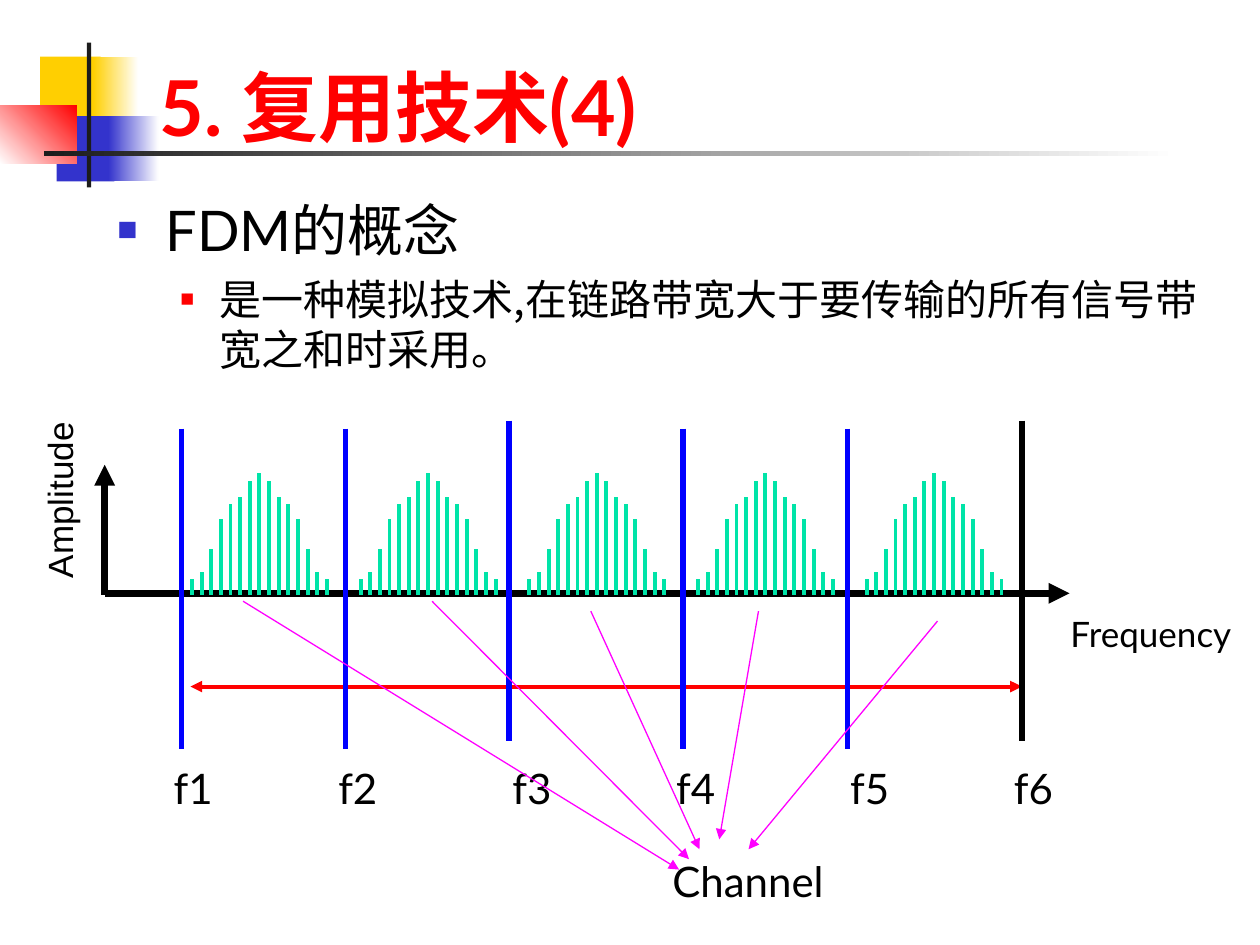
"""Build a slide on frequency-division multiplexing with its spectrum diagram."""
from lxml import etree
from pptx import Presentation
from pptx import util as u
from pptx.dml.color import RGBColor
from pptx.enum import lang, shapes, text
from pptx.oxml.ns import qn

TITLE = "5. 复用技术(4)"
BODY = [
    {"text": "FDM的概念", "level": 0, "size": 32, "font": "Lato", "left": 0.97, "hang": 0.97,
     "before": 0, "bullet": "3333CC", "percent": 60},
    {"text": "是一种模拟技术,在链路带宽大于要传输的所有信号带宽之和时采用。", "level": 1, "size": 24,
     "font": "Noto Sans CJK SC", "left": 2.06, "hang": 0.79, "before": 6, "bullet": "FF0000",
     "percent": 55},
]
DECOR = [
    ((0.81, 1.14, 1.22, 1.32), ["FFCF01"], 0),
    ((1.88, 1.14, 0.91, 1.32), ["FFCF01", "FFFFFF"], 0),
    ((1.14, 2.34, 1.17, 1.32), ["3333CC"], 0),
    ((2.18, 2.34, 1.02, 1.32), ["3333CC", "FFFFFF"], 0),
    ((0, 2.13, 1.55, 1.17), ["FFFFFF", "FF0000"], 45),
    ((1.75, 0.86, 0.09, 2.92), ["1C1C1C"], 0),
    ((0.89, 3.05, 22.86, 0.09), ["1C1C1C", "FFFFFF"], 0),
]
AXES = [(2.11, 11.96, 21.56, 11.96), (2.11, 11.99, 2.11, 9.37)]
COMB_COUNT, COMB_FIRST, COMB_PITCH, COMB_BASE = 5, 5.23, 3.4, 11.99
TOOTH_GAP = 1.36 / 7
TOOTH_TOPS = [9.53, 9.7, 10.01, 10.16, 10.46, 11.07, 11.53, 11.68]
DIVIDER_HEIGHT = 6.45
DIVIDERS = [
    ("f1", 3.66, 8.64, 2.67, "0000FF"),
    ("f2", 6.96, 8.64, 5.99, "0000FF"),
    ("f3", 10.26, 8.48, 9.5, "0000FF"),
    ("f4", 13.77, 8.64, 12.8, "0000FF"),
    ("f5", 17.09, 8.64, 16.31, "0000FF"),
    ("f6", 20.6, 8.48, 19.61, "000000"),
]
BANDWIDTH = (3.84, 13.84, 20.6, 13.84)
CHANNEL_ARROWS = [
    (15.29, 12.32, 14.5, 16.92),
    (8.71, 12.12, 13.89, 17.32),
    (11.91, 12.32, 14.1, 17.12),
    (4.9, 12.12, 13.69, 17.53),
    (18.9, 12.52, 15.09, 17.12),
]


def color(value):
    return RGBColor.from_string(value)


def place(shape, area):
    for name, value in zip(("left", "top", "width", "height"), area):
        setattr(shape, name, u.Cm(value))


def style(span, size, font="Lato", fill="000000", **extra):
    values = {"size": u.Pt(size), "name": font, "language_id": lang.MSO_LANGUAGE_ID.SIMPLIFIED_CHINESE}
    for name, value in {**values, **extra}.items():
        setattr(span.font, name, value)
    span.font.color.rgb = color(fill)
    etree.SubElement(span.font._element, qn("a:ea")).set("typeface", "Lato")


def indent(para, left, hang=0):
    props = para._p.get_or_add_pPr()
    props.set("marL", str(u.Cm(left)))
    props.set("indent", str(-u.Cm(hang)))
    return props


def add_bullet(para, item):
    props = indent(para, item["left"], item["hang"])
    tint = etree.SubElement(props, qn("a:buClr"))
    etree.SubElement(tint, qn("a:srgbClr")).set("val", item["bullet"])
    etree.SubElement(props, qn("a:buSzPct")).set("val", str(item["percent"] * 1000))
    etree.SubElement(props, qn("a:buFont")).set("typeface", "Arial")
    etree.SubElement(props, qn("a:buChar")).set("char", "■")


def add_line(page, ends, fill, width, head=False, tail=False):
    line = page.shapes.add_connector(shapes.MSO_CONNECTOR.STRAIGHT, *map(u.Cm, ends))
    line.line.color.rgb = color(fill)
    line.line.width = u.Pt(width)
    for tag, wanted in (("a:headEnd", head), ("a:tailEnd", tail)):
        if wanted:
            etree.SubElement(line.line._get_or_add_ln(), qn(tag)).set("type", "triangle")
    etree.SubElement(line._element.spPr, qn("a:effectLst"))


def add_label(page, words, area, size, font="Lato", left=0.58, align="LEFT", wrap=True, turn=0):
    box = page.shapes.add_textbox(*map(u.Cm, area))
    box.rotation = turn
    box.text_frame.word_wrap = wrap
    para = box.text_frame.paragraphs[0]
    para.alignment = getattr(text.PP_ALIGN, align)
    indent(para, left)
    span = para.add_run()
    span.text = words
    style(span, size, font)


def add_decor(page):
    for area, fills, angle in DECOR:
        block = page.shapes.add_shape(shapes.MSO_SHAPE.RECTANGLE, *map(u.Cm, area))
        block.shadow.inherit = False
        block.line.fill.background()
        if len(fills) == 1:
            block.fill.solid()
            block.fill.fore_color.rgb = color(fills[0])
            continue
        block.fill.gradient()
        block.fill.gradient_angle = angle
        for stop, value in zip(block.fill.gradient_stops, fills):
            stop.color.rgb = color(value)


def fill_placeholders(page):
    title, body = page.placeholders
    for holder, area, anchor in ((title, (2.97, 0.64, 21.64, 2.54), "BOTTOM"),
                                 (body, (2.11, 3.81, 22.33, 13.23), "TOP")):
        place(holder, area)
        holder.text_frame.auto_size = text.MSO_AUTO_SIZE.NONE
        holder.text_frame.vertical_anchor = getattr(text.MSO_ANCHOR, anchor)
        page.shapes._spTree.append(holder._element)
    title.text_frame.text = TITLE
    heading = title.text_frame.paragraphs[0]
    heading.alignment = text.PP_ALIGN.LEFT
    style(heading.runs[0], 44, fill="FF0000", bold=True)
    body.text_frame.text = "\n".join(item["text"] for item in BODY)
    for para, item in zip(body.text_frame.paragraphs, BODY):
        para.level = item["level"]
        para.space_before = u.Pt(item["before"])
        add_bullet(para, item)
        style(para.runs[0], item["size"], item["font"])


def add_spectrum(page):
    add_label(page, "Amplitude", (-0.64, 9.53, 3.66, 1.09), 20, "Arial", left=0, wrap=False, turn=270)
    add_label(page, "Frequency", (20.75, 12.22, 4.65, 1.12), 20)
    for ends in AXES:
        add_line(page, ends, "000000", 4, tail=True)
    for comb in range(COMB_COUNT):
        for tooth in range(1 - len(TOOTH_TOPS), len(TOOTH_TOPS)):
            x = COMB_FIRST + comb * COMB_PITCH + tooth * TOOTH_GAP
            add_line(page, (x, COMB_BASE, x, TOOTH_TOPS[abs(tooth)]), "00E4A8", 2.25)
    add_line(page, BANDWIDTH, "FF0000", 2.25, head=True, tail=True)
    for name, x, top, label_left, fill in DIVIDERS:
        add_line(page, (x, top, x, top + DIVIDER_HEIGHT), fill, 3)
        add_label(page, name, (label_left, 15.24, 1.94, 1.27), 24)
    for ends in CHANNEL_ARROWS:
        add_line(page, ends, "FF00FF", 0.75, tail=True)
    add_label(page, "Channel", (12.29, 17.12, 5, 1.27), 24, align="CENTER")


def main():
    deck = Presentation()
    deck.slide_width, deck.slide_height = u.Cm(25.4), u.Cm(19.05)
    page = deck.slides.add_slide(deck.slide_layouts[1])
    add_decor(page)
    fill_placeholders(page)
    add_spectrum(page)
    deck.save("out.pptx")


if __name__ == "__main__":
    main()
